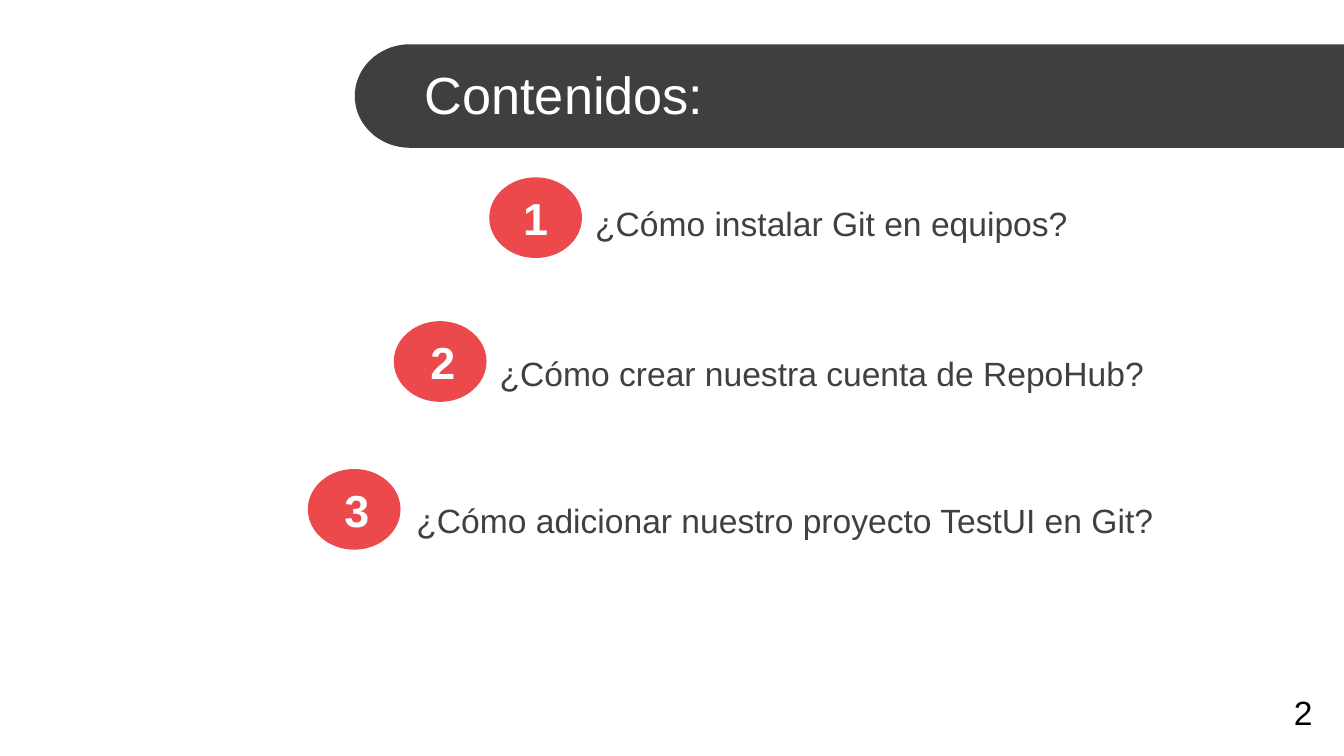
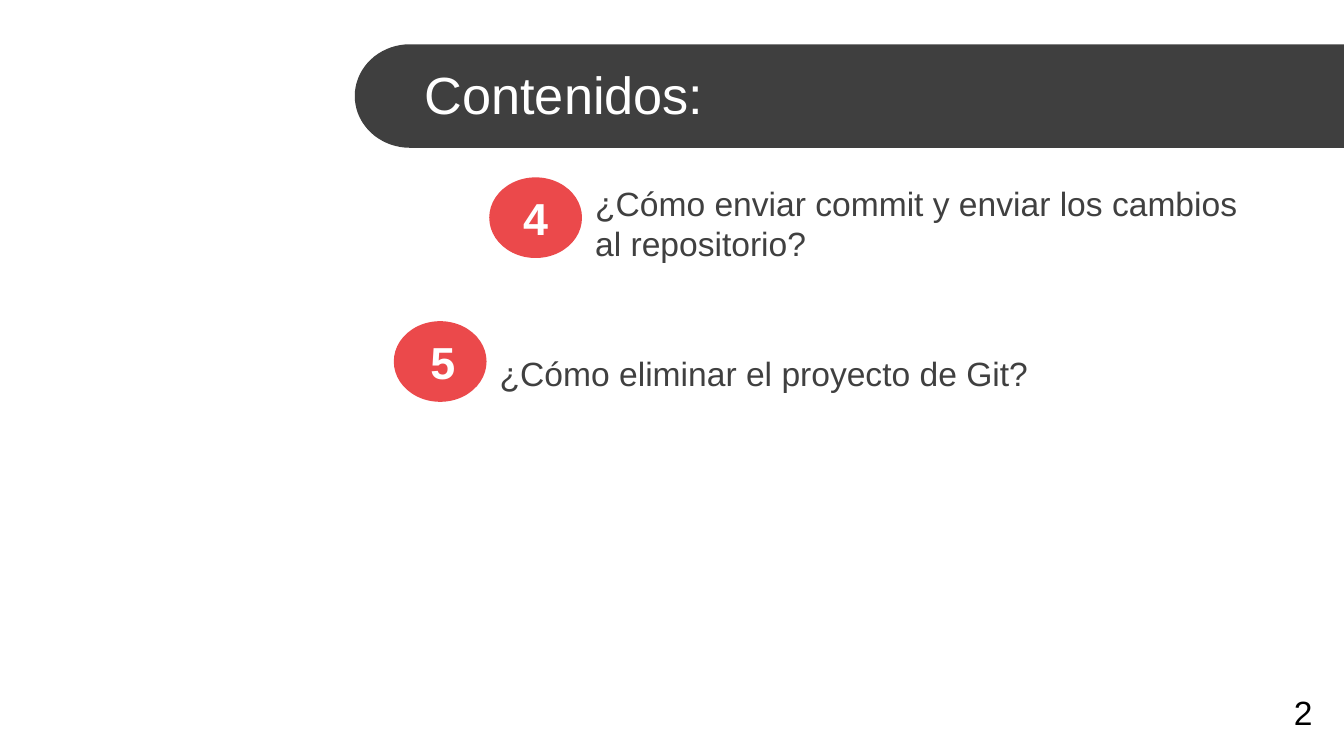
import math

import pptx
import pptx.dml.color
import pptx.enum.shapes
import pptx.enum.text
import pptx.util

Inches = pptx.util.Inches
ANCHOR = pptx.enum.text.MSO_ANCHOR
ALIGN = pptx.enum.text.PP_ALIGN
AUTO_SIZE = pptx.enum.text.MSO_AUTO_SIZE

SLIDE_WIDTH = 10
SLIDE_HEIGHT = SLIDE_WIDTH * 9 / 16
FONT = "Arial"
COLORS = {
    "band": "3F3F3F",
    "badge": "EB494B",
    "question": "404040",
    "light": "FFFFFF",
    "page": "000000",
}
TITLE = "Contenidos:"
PAGE_LABEL = "2"
BADGE_WIDTH, BADGE_HEIGHT = 0.69, 0.6
NUMBER_HEIGHT = 0.5
LINE_HEIGHTS = {1: 0.4, 2: 0.71}
BADGES = [(3.64, 1.32, 0), (2.93, 2.39, 0.02), (2.29, 3.49, 0.02)]
QUESTION_SLOTS = [(4.33, 1.66, 5.04), (3.62, 2.78, 6.66), (3.0, 3.87, 7.22)]
AGENDAS = [
    (1, [
        ("¿Cómo instalar Git en equipos?", 1),
        ("¿Cómo crear nuestra cuenta de RepoHub?", 1),
        ("¿Cómo adicionar nuestro proyecto TestUI en Git?", 1),
    ]),
    (4, [
        ("¿Cómo enviar commit y enviar los cambios al repositorio?", 2),
        ("¿Cómo eliminar el proyecto de Git?", 1),
    ]),
]


def rgb(name):
    return pptx.dml.color.RGBColor.from_string(COLORS[name])


def paint(shape, color):
    shape.fill.solid()
    shape.fill.fore_color.rgb = rgb(color)
    shape.line.fill.background()
    shape.shadow.inherit = False


def write(shape, text, size, color, align=ALIGN.LEFT, anchor=ANCHOR.MIDDLE,
          bold=False, wrap=True):
    frame = shape.text_frame
    frame.text = text
    frame.word_wrap = wrap
    frame.auto_size = AUTO_SIZE.NONE
    frame.vertical_anchor = anchor
    paragraph = frame.paragraphs[0]
    paragraph.alignment = align
    paragraph.font.name = FONT
    paragraph.font.size = pptx.util.Pt(size)
    paragraph.font.bold = bold
    paragraph.font.color.rgb = rgb(color)


def add_text(slide, left, top, width, height, text, size, color, **style):
    box = slide.shapes.add_textbox(
        Inches(left), Inches(top), Inches(width), Inches(height))
    write(box, text, size, color, **style)


def add_band(slide, left=2.64, top=0.33, bottom=1.1, cap=0.41):
    middle, radius = (top + bottom) / 2, (bottom - top) / 2
    curve = [
        (left + cap - cap * math.sin(math.radians(angle)),
         middle + radius * math.cos(math.radians(angle)))
        for angle in range(0, 181, 5)
    ]
    builder = slide.shapes.build_freeform(
        Inches(SLIDE_WIDTH), Inches(top), scale=1.0)
    outline = [(SLIDE_WIDTH, bottom)] + curve
    builder.add_line_segments([(Inches(x), Inches(y)) for x, y in outline])
    band = builder.convert_to_shape()
    paint(band, "band")
    slide.shapes._spTree.insert(2, band._element)


def add_title(slide):
    title = slide.shapes.title
    title.left, title.top = Inches(3.06), Inches(0.38)
    title.width, title.height = Inches(6.94), Inches(0.63)
    write(title, TITLE, 28, "light")


def add_badge(slide, number, left, top, shift):
    badge = slide.shapes.add_shape(
        pptx.enum.shapes.MSO_SHAPE.OVAL, Inches(left), Inches(top),
        Inches(BADGE_WIDTH), Inches(BADGE_HEIGHT))
    paint(badge, "badge")
    inset = (BADGE_HEIGHT - NUMBER_HEIGHT) / 2
    add_text(slide, left + shift, top + inset, BADGE_WIDTH, NUMBER_HEIGHT,
             str(number), 24, "light", align=ALIGN.CENTER, bold=True)


def add_question(slide, text, lines, left, middle, width):
    height = LINE_HEIGHTS[lines]
    add_text(slide, left, middle - height / 2, width, height,
             text, 18, "question")


def add_page_label(slide):
    add_text(slide, 9.53, 5.1, 0.34, LINE_HEIGHTS[1], PAGE_LABEL, 18, "page",
             anchor=ANCHOR.TOP, wrap=False)


def add_agenda(deck, first_number, questions):
    slide = deck.slides.add_slide(deck.slide_layouts[5])
    add_band(slide)
    add_title(slide)
    rows = zip(questions, BADGES, QUESTION_SLOTS)
    for number, (question, badge, slot) in enumerate(rows, first_number):
        add_badge(slide, number, *badge)
        add_question(slide, *question, *slot)
    add_page_label(slide)


def main():
    deck = pptx.Presentation()
    deck.slide_width = Inches(SLIDE_WIDTH)
    deck.slide_height = Inches(SLIDE_HEIGHT)
    for first_number, questions in AGENDAS:
        add_agenda(deck, first_number, questions)
    deck.save("out.pptx")


if __name__ == "__main__":
    main()
